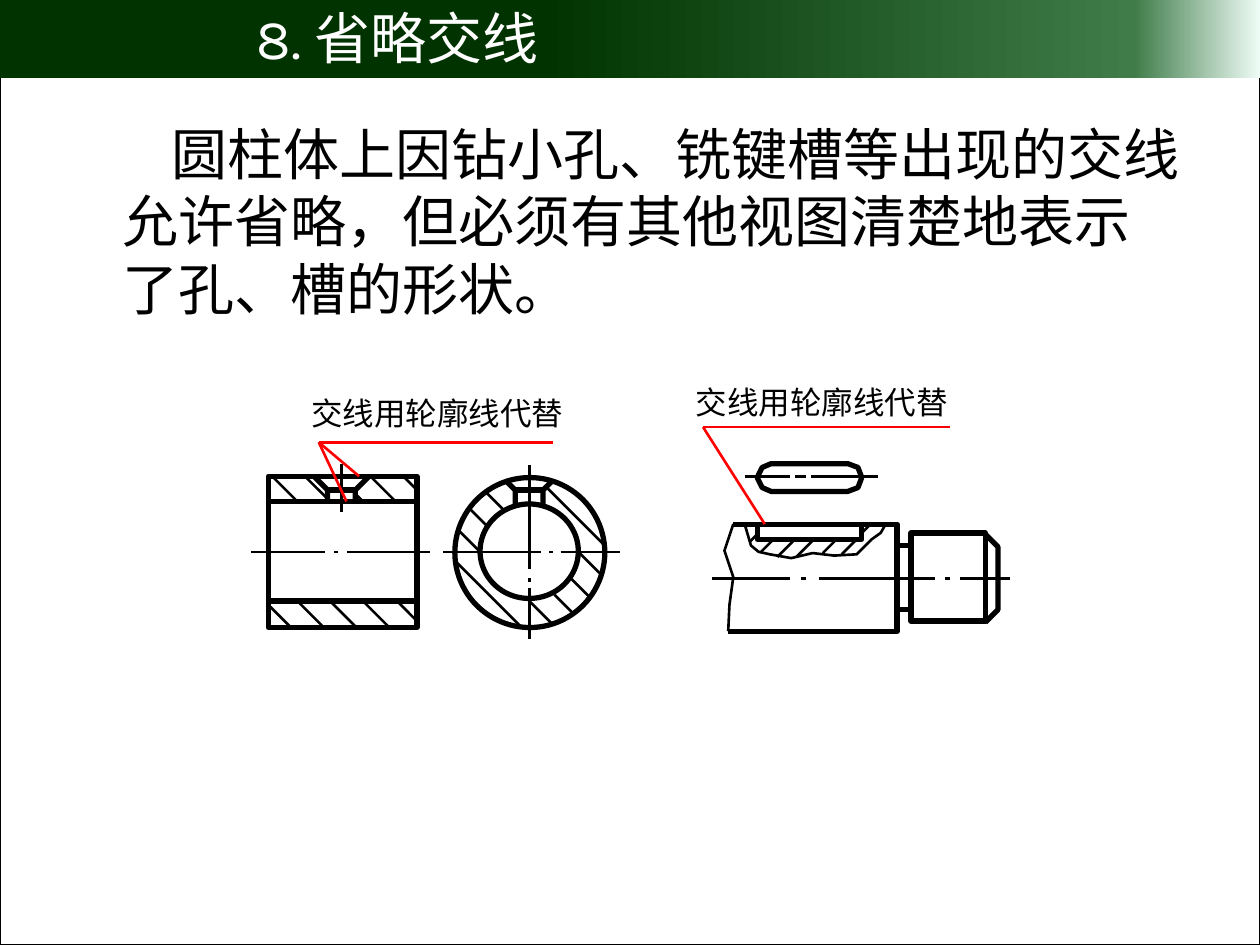
import copy

import pptx
import pptx.dml.color
import pptx.enum.shapes
import pptx.enum.text
import pptx.oxml.ns
import pptx.util
from lxml import etree
from pptx.util import Inches

COLORS = {
    "black": "000000",
    "white": "FFFFFF",
    "red": "FF0000",
    "dark_green": "003300",
    "green": "3F7C49",
    "mint": "EEFCF6",
}
CJK_FONT = "Noto Sans CJK SC"
THICK, THIN = 3, 1.5
SHAPES = pptx.enum.shapes.MSO_SHAPE
ANCHORS = pptx.enum.text.MSO_ANCHOR

presentation = pptx.Presentation()
presentation.slide_width = Inches(10)
presentation.slide_height = Inches(7.5)
slide = presentation.slides.add_slide(presentation.slide_layouts[6])


def add_text(text, left, top, width, height, size=18, font=CJK_FONT, color="black",
             wrap=False, inset_x=0, inset_y=0, anchor=ANCHORS.TOP, indent=0):
    box = slide.shapes.add_textbox(Inches(left), Inches(top), Inches(width), Inches(height))
    frame = box.text_frame
    frame.word_wrap = wrap
    frame.vertical_anchor = anchor
    frame.margin_left = frame.margin_right = Inches(inset_x)
    frame.margin_top = frame.margin_bottom = Inches(inset_y)
    paragraph = frame.paragraphs[0]
    if indent:
        paragraph._p.get_or_add_pPr().set("indent", str(Inches(indent)))
    run = paragraph.add_run()
    run.text = text
    run.font.size = pptx.util.Pt(size)
    run.font.name = font
    run.font.color.rgb = pptx.dml.color.RGBColor.from_string(COLORS[color])
    east_asian = etree.SubElement(run._r.get_or_add_rPr(), pptx.oxml.ns.qn("a:ea"))
    east_asian.set("typeface", CJK_FONT)


def add_path(points, weight=THIN, color="black", close=False):
    corners = [(Inches(x), Inches(y)) for x, y in points]
    if len(corners) == 2:
        shape = slide.shapes.add_connector(
            pptx.enum.shapes.MSO_CONNECTOR.STRAIGHT, *corners[0], *corners[1])
        etree.SubElement(shape._element.spPr, pptx.oxml.ns.qn("a:effectLst"))
    else:
        builder = slide.shapes.build_freeform(*corners[0])
        builder.add_line_segments(corners[1:], close=close)
        shape = builder.convert_to_shape()
        shape.shadow.inherit = False
        shape.fill.background()
    shape.line.width = pptx.util.Pt(weight)
    shape.line.color.rgb = pptx.dml.color.RGBColor.from_string(COLORS[color])


outlines = [
    (SHAPES.RECTANGLE, 0, 0, 10, 7.5, 0.75),
    (SHAPES.RECTANGLE, 2.13, 3.78, 1.18, 1.2, THICK),
    (SHAPES.OVAL, 3.61, 3.79, 1.19, 1.19, THICK),
    (SHAPES.OVAL, 3.81, 4, 0.78, 0.75, THICK),
    (SHAPES.RECTANGLE, 7.23, 4.23, 0.59, 0.7, THICK),
]
for kind, left, top, width, height, weight in outlines:
    shape = slide.shapes.add_shape(kind, Inches(left), Inches(top), Inches(width), Inches(height))
    shape.shadow.inherit = False
    shape.fill.background()
    shape.line.width = pptx.util.Pt(weight)
    shape.line.color.rgb = pptx.dml.color.RGBColor.from_string(COLORS["black"])

banner = slide.shapes.add_shape(
    SHAPES.RECTANGLE, Inches(0), Inches(-0.02), Inches(10), Inches(0.64))
banner.shadow.inherit = False
banner.line.fill.background()
banner.fill.gradient()
banner.fill.gradient_angle = 0
stop_list = banner._element.spPr.find(".//" + pptx.oxml.ns.qn("a:gsLst"))
stop_list.append(copy.deepcopy(stop_list[0]))
banner_stops = [(0.43, "dark_green"), (0.9, "green"), (1, "mint")]
for stop, (position, color) in zip(banner.fill.gradient_stops, banner_stops):
    stop.position = position
    stop.color.rgb = pptx.dml.color.RGBColor.from_string(COLORS[color])

for wall_y in (3.98, 4.77):
    add_path([(2.13, wall_y), (3.31, wall_y)], THICK)

drilled_holes = [(2.71, 0.22, 3.78, 3.98), (4.2, 0.19, 3.81, 4)]
for axis, sink_radius, sink_top, hole_bottom in drilled_holes:
    add_path([(axis - 0.11, 3.89), (axis + 0.11, 3.89)], THICK)
    for side in (-1, 1):
        hole_x = axis + side * 0.11
        add_path([(axis + side * sink_radius, sink_top), (hole_x, 3.89),
                  (hole_x, hole_bottom)], THICK)

horizontal_axes = {
    4.38: [(1.99, 2.58), (2.65, 2.68), (2.75, 3.41),
           (3.52, 4.29), (4.36, 4.39), (4.45, 4.92)],
    4.59: [(5.65, 6.27), (6.36, 6.4), (6.5, 7.42), (7.5, 7.54), (7.62, 8.02)],
    3.78: [(5.91, 6.27), (6.31, 6.4), (6.44, 6.97)],
}
for y, dashes in horizontal_axes.items():
    for start, end in dashes:
        add_path([(start, y), (end, y)])
vertical_axes = {2.71: [(3.68, 4.06)], 4.2: [(3.69, 4.52), (4.59, 4.62), (4.67, 5.07)]}
for x, dashes in vertical_axes.items():
    for start, end in dashes:
        add_path([(x, start), (x, end)])

falling_hatches = [
    (2.13, 4.8, 0.18), (3.15, 4.77, 0.16),
    (2.16, 3.78, 0.2), (2.42, 3.78, 0.17), (2.82, 3.92, 0.07),
    (2.94, 3.78, 0.2), (3.2, 3.78, 0.1),
    (3.61, 4.45, 0.52), (4.2, 4.77, 0.18), (3.63, 4.2, 0.18),
    (4.4, 4.72, 0.15), (3.72, 4.03, 0.15), (4.53, 4.59, 0.15),
    (3.85, 3.9, 0.15), (4.6, 4.39, 0.18), (4.34, 3.87, 0.46),
]
falling_hatches += [(2.36 + 0.26 * index, 4.77, 0.2) for index in range(3)]
for left, top, size in falling_hatches:
    add_path([(left, top), (left + size, top + size)])

rising_hatches = [
    (5.92, 4.18, 0.02), (5.95, 4.3, 0.06), (6.04, 4.38, 0.1), (6.17, 4.42, 0.14),
    (6.32, 4.42, 0.14), (6.53, 4.39, 0.11), (6.68, 4.4, 0.12), (6.84, 4.23, 0.07),
]
for left, bottom, size in rising_hatches:
    add_path([(left, bottom), (left + size, bottom - size)])

shaft_edges = [(5.82, 4.16), (7.12, 4.16), (7.12, 5.01), (5.78, 5.01)]
shaft_chamfer = [(7.81, 4.23), (7.92, 4.34), (7.92, 4.84), (7.82, 4.94)]
keyway = [(6.01, 4.16), (6.01, 4.28), (6.84, 4.28), (6.84, 4.16)]
for edge in (shaft_edges, shaft_chamfer, keyway):
    add_path(edge, THICK)
for neck_y in (4.33, 4.84):
    add_path([(7.12, neck_y), (7.24, neck_y)], THICK)
add_path([(6.12, 3.68), (6.73, 3.68), (6.81, 3.71), (6.84, 3.79), (6.81, 3.87),
          (6.73, 3.9), (6.12, 3.9), (6.05, 3.87), (6.01, 3.79), (6.05, 3.71)],
         THICK, close=True)
add_path([(5.82, 4.16), (5.75, 4.37), (5.82, 4.58), (5.79, 4.8), (5.78, 5.01)])
add_path([(5.91, 4.16), (5.96, 4.33), (6.02, 4.38), (6.11, 4.4), (6.28, 4.43), (6.45, 4.39),
          (6.62, 4.41), (6.8, 4.4), (6.92, 4.28), (6.99, 4.23), (7.03, 4.16)])

callouts = [
    (2.47, 3.13, (2.53, 3.51), 4.39, [(2.75, 3.98), (2.85, 3.78)]),
    (5.52, 3.04, (5.58, 3.39), 7.54, [(6.07, 4.16)]),
]
for left, top, corner, underline_end, targets in callouts:
    add_text("交线用轮廓线代替", left, top, 2.01, 0.3)
    for end in [(underline_end, corner[1])] + targets:
        add_path([corner, end], color="red")

add_text("圆柱体上因钻小孔、铣键槽等出现的交线允许省略，但必须有其他视图清楚地表示了孔、槽的形状。",
         0.87, 0.9, 8.62, 1.7, size=32, wrap=True, inset_x=0.1, inset_y=0.05,
         anchor=ANCHORS.MIDDLE, indent=0.39)
add_text("8. 省略交线", 1.94, -0.02, 4.24, 0.63, size=32, font="Karla", color="white",
         wrap=True, inset_x=0.1, inset_y=0.05)

presentation.save("out.pptx")
